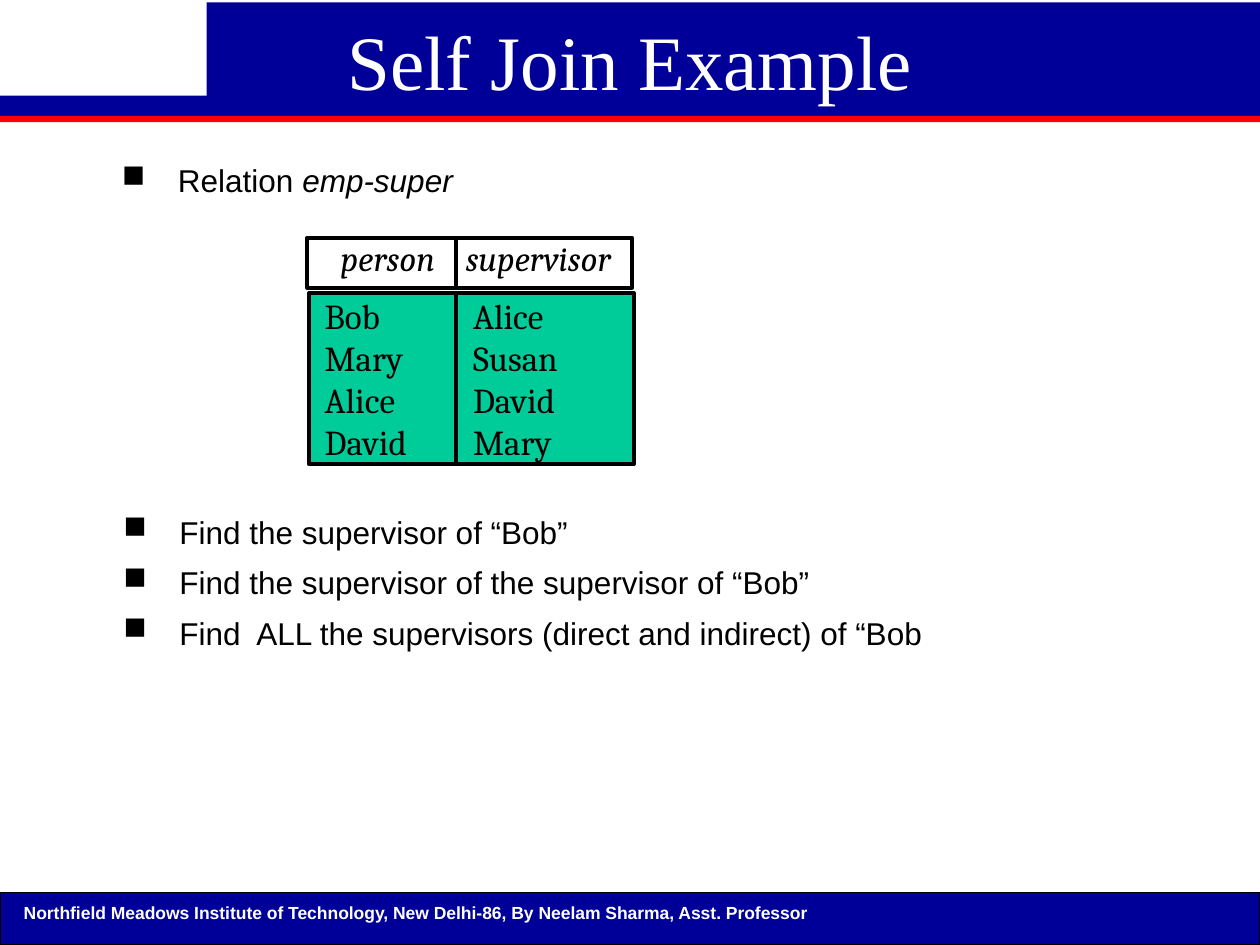
import pptx
import pptx.dml.color
import pptx.enum.shapes
import pptx.enum.text
import pptx.oxml.ns
import pptx.util
from lxml import etree

Pt = pptx.util.Pt
RGBColor = pptx.dml.color.RGBColor
qn = pptx.oxml.ns.qn
ALIGN = pptx.enum.text.PP_ALIGN
ANCHOR = pptx.enum.text.MSO_ANCHOR

BLACK = RGBColor(0x00, 0x00, 0x00)
WHITE = RGBColor(0xFF, 0xFF, 0xFF)
NAVY = RGBColor(0x00, 0x00, 0x99)
RED = RGBColor(0xFF, 0x00, 0x00)
GREEN = RGBColor(0x00, 0xCC, 0x99)


class SlideBuilder:
    sans = "Arial"
    serif = "Cambria"
    title_font = "Times New Roman"
    body_size = 18
    table_size = 20
    bullet_indent = 32
    bullet_gap = 7.25
    table_line = 2.25

    def __init__(self, page):
        self.page = page

    def rectangle(self, left, top, width, height, fill, line_width=0):
        shape = self.page.shapes.add_shape(
            pptx.enum.shapes.MSO_SHAPE.RECTANGLE,
            Pt(left), Pt(top), Pt(width), Pt(height))
        shape.shadow.inherit = False
        shape.fill.solid()
        shape.fill.fore_color.rgb = fill
        if line_width:
            shape.line.color.rgb = BLACK
            shape.line.width = Pt(line_width)
        else:
            shape.line.fill.background()

    def vertical_line(self, x, top, bottom):
        line = self.page.shapes.add_connector(
            pptx.enum.shapes.MSO_CONNECTOR.STRAIGHT,
            Pt(x), Pt(top), Pt(x), Pt(bottom))
        line.line.color.rgb = BLACK
        line.line.width = Pt(self.table_line)
        etree.SubElement(line._element.spPr, qn("a:effectLst"))

    def text(self, left, top, width, height, content, font, size,
             color=BLACK, bold=False, italic=False):
        box = self.page.shapes.add_textbox(Pt(left), Pt(top), Pt(width), Pt(height))
        frame = box.text_frame
        frame.word_wrap = True
        frame.text = content
        for para in frame.paragraphs:
            for span in para.runs:
                span.font.name = font
                span.font.size = Pt(size)
                span.font.color.rgb = color
                span.font.bold = bold
                span.font.italic = italic
        return frame

    def title(self, content):
        frame = self.text(36, 0, 648, 68.4, content, self.title_font, 44, WHITE)
        frame.vertical_anchor = ANCHOR.MIDDLE
        frame.paragraphs[0].alignment = ALIGN.CENTER

    def bullets(self, left, top, width, height, items):
        frame = self.text(left, top, width, height, "\n".join(items),
                          self.sans, self.body_size)
        for para in frame.paragraphs:
            para.space_after = Pt(self.bullet_gap)
            properties = para._p.get_or_add_pPr()
            properties.set("marL", str(Pt(self.bullet_indent)))
            properties.set("indent", str(-Pt(self.bullet_indent)))
            etree.SubElement(properties, qn("a:buChar"), char="■")
        return frame

    def columns(self, left, top, width, height, rows, tab, italic=False):
        content = "\n".join("\t".join(row) for row in rows)
        frame = self.text(left, top, width, height, content,
                          self.serif, self.table_size, italic=italic)
        for para in frame.paragraphs:
            stops = etree.SubElement(para._p.get_or_add_pPr(), qn("a:tabLst"))
            etree.SubElement(stops, qn("a:tab"), pos=str(Pt(tab)), algn="l")


def main():
    deck = pptx.Presentation()
    deck.slide_width, deck.slide_height = Pt(720), Pt(540)
    page = deck.slides.add_slide(deck.slide_layouts[6])
    builder = SlideBuilder(page)

    builder.rectangle(0, 54.7, 720, 11.5, NAVY)
    builder.rectangle(0, 66.2, 720, 3.6, RED)
    builder.rectangle(118, 1.4, 602, 54.7, NAVY)
    builder.rectangle(0, 509.8, 720, 30.2, NAVY, 0.75)
    builder.text(6.5, 512, 690, 19.4,
                 "Northfield Meadows Institute of Technology, New Delhi-86, "
                 "By Neelam Sharma, Asst. Professor",
                 builder.sans, 10, WHITE, bold=True)
    builder.title("Self Join Example")

    relation = builder.bullets(62.6, 88.6, 553.7, 38.2, ["Relation "])
    name = relation.paragraphs[0].add_run()
    name.text = "emp-super"
    name.font.name = builder.sans
    name.font.size = Pt(builder.body_size)
    name.font.color.rgb = BLACK
    name.font.italic = True

    builder.bullets(63.4, 289.4, 653, 87.8, [
        "Find the supervisor of “Bob”",
        "Find the supervisor of the supervisor of “Bob”",
        "Find  ALL the supervisors (direct and indirect) of “Bob",
    ])

    builder.rectangle(175.5, 136, 185.8, 28.4, WHITE, builder.table_line)
    builder.rectangle(176.5, 167.6, 185.8, 97.6, GREEN, builder.table_line)
    for top, bottom in ((136, 164.4), (168.4, 265)):
        builder.vertical_line(260.6, top, bottom)
    builder.columns(187.6, 131.8, 180, 31.7, [("person", "supervisor")], 71.5, italic=True)
    builder.columns(178.4, 164.9, 183.6, 104.4, [
        ("Bob", "Alice"),
        ("Mary", "Susan"),
        ("Alice", "David"),
        ("David", "Mary"),
    ], 84.8)

    deck.save("out.pptx")


if __name__ == "__main__":
    main()
